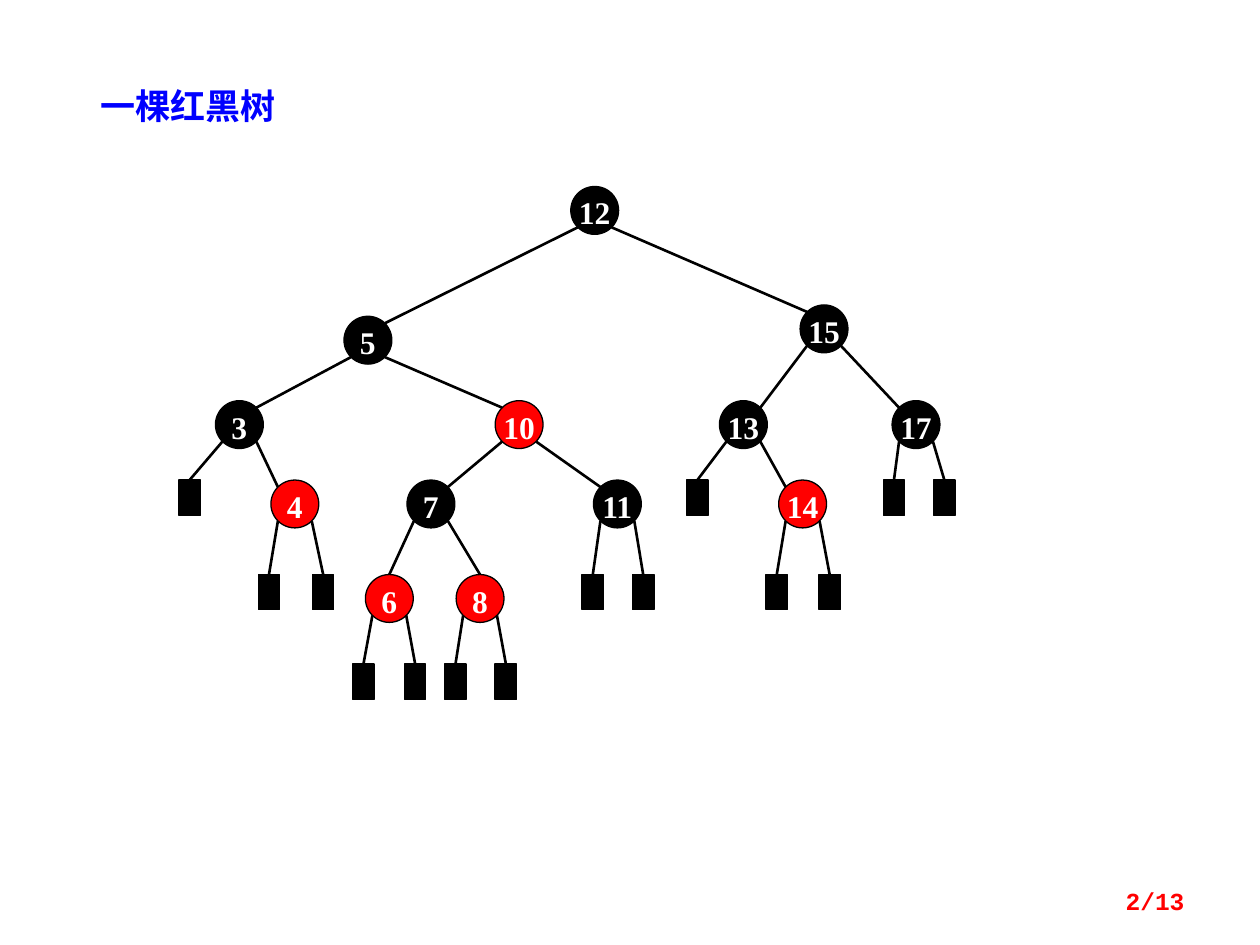
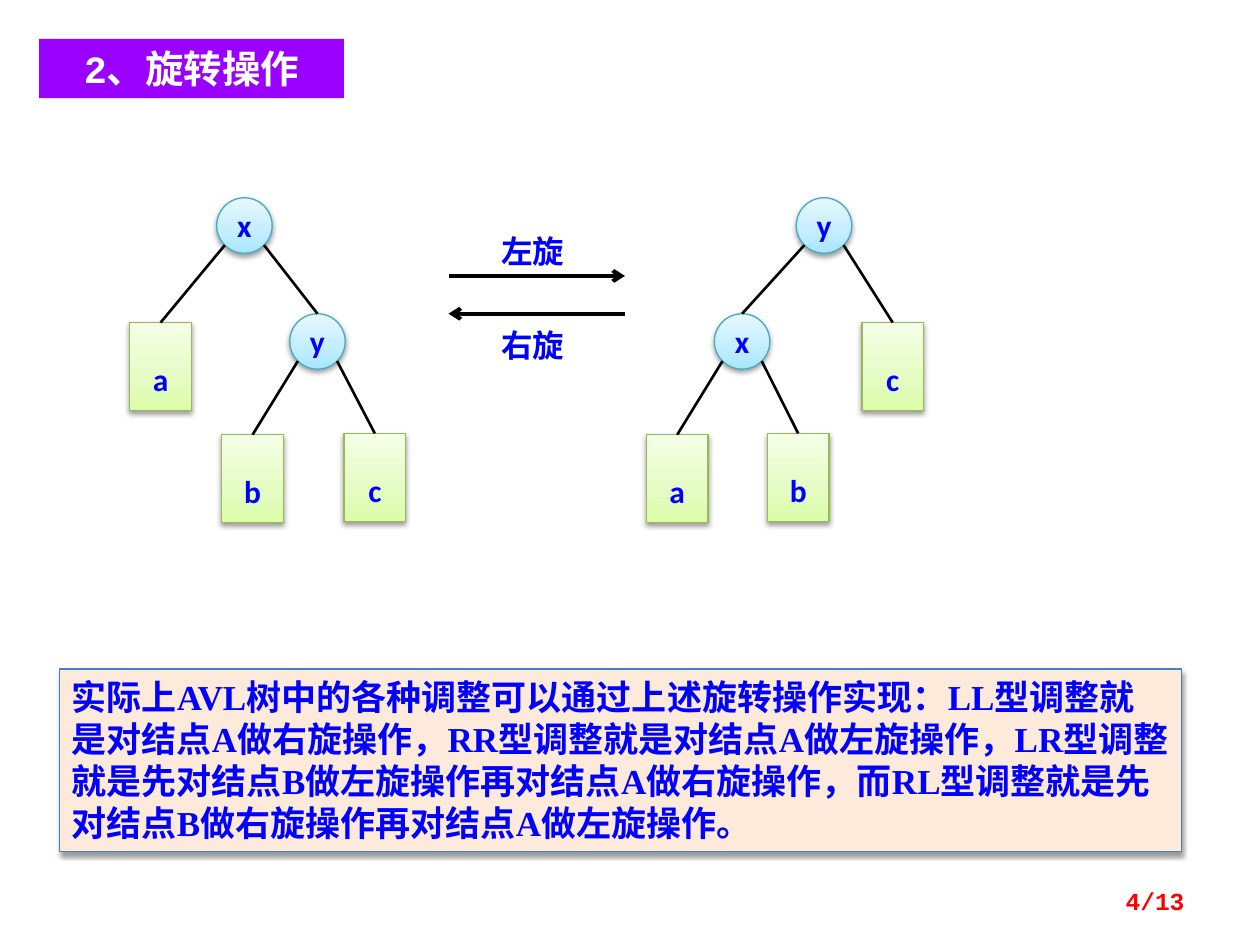
import copy
import math

import pptx
import pptx.dml.color
import pptx.enum.shapes
import pptx.enum.text
import pptx.oxml
import pptx.oxml.ns
import pptx.util
from pptx.util import Inches

COLOURS = {
    "black": "000000",
    "red": "FF0000",
    "white": "FFFFFF",
    "blue": "0000FF",
    "purple": "9900FF",
    "peach": "FDEADA",
    "steel": "4B7EBC",
    "cyan edge": "46AAC5",
    "green edge": "98B955",
}
GRADIENTS = {
    "cyan": ("A7E6FF", "C1EDFF", "E7F8FF"),
    "green": ("DAFDA7", "E4FCC2", "F5FFE7"),
}
GRADIENT_POSITIONS = (0, 0.35, 1)
CHINESE_FONT = "Noto Sans CJK SC"
TOTAL_PAGES = 13

SHAPES = pptx.enum.shapes.MSO_SHAPE
ALIGN = pptx.enum.text.PP_ALIGN
ANCHOR = pptx.enum.text.MSO_ANCHOR
GROW = pptx.enum.text.MSO_AUTO_SIZE.SHAPE_TO_FIT_TEXT
qn = pptx.oxml.ns.qn


def rgb(name):
    return pptx.dml.color.RGBColor.from_string(COLOURS.get(name, name))


def add_xml(parent, tag, **attributes):
    child = parent.makeelement(qn(tag), attributes)
    parent.append(child)
    return child


class SlideBuilder:
    """Holds the shared style and the slide being built."""

    def __init__(self, deck):
        self.deck = deck
        self.page = None

    def new_page(self, number):
        self.page = self.deck.slides.add_slide(self.deck.slide_layouts[6])
        self.text_box((7.17, 6.95, 2.33, 0.4), f"{number}/{TOTAL_PAGES}", 14, "Courier New",
                      "red", align=ALIGN.RIGHT, anchor=ANCHOR.MIDDLE)

    def add_text(self, box, text, size, font, colour, align=ALIGN.LEFT,
                 anchor=ANCHOR.TOP, inset=True, spacing=None, grow=False):
        frame = box.text_frame
        frame.word_wrap = True
        frame.vertical_anchor = anchor
        if grow:
            frame.auto_size = GROW
        if not inset:
            frame.margin_left = frame.margin_right = 0
            frame.margin_top = frame.margin_bottom = 0
        para = frame.paragraphs[0]
        para.alignment = align
        if spacing:
            para.line_spacing = spacing
        span = para.add_run()
        span.text = text
        span.font.size = pptx.util.Pt(size)
        span.font.name = font
        span.font.bold = True
        span.font.color.rgb = rgb(colour)
        add_xml(span.font._element, "a:ea", typeface=CHINESE_FONT)

    def text_box(self, place, text, size, font, colour, **layout):
        box = self.page.shapes.add_textbox(*map(Inches, place))
        self.add_text(box, text, size, font, colour, **layout)

    def shape(self, kind, place, fill, edge=None, shadow=False):
        box = self.page.shapes.add_shape(kind, *map(Inches, place))
        box.shadow.inherit = False
        if fill in GRADIENTS:
            self.gradient(box, GRADIENTS[fill])
        else:
            box.fill.solid()
            box.fill.fore_color.rgb = rgb(fill)
        if edge:
            box.line.color.rgb = rgb(edge)
            box.line.width = pptx.util.Pt(0.75)
        else:
            box.line.fill.background()
        if shadow:
            self.drop_shadow(box)
        return box

    def gradient(self, box, colours):
        box.fill.gradient()
        box.fill.gradient_angle = 90
        stop_list = box._element.spPr.find(qn("a:gradFill")).find(qn("a:gsLst"))
        stop_list.insert(1, copy.deepcopy(stop_list[0]))
        for stop, colour, position in zip(box.fill.gradient_stops, colours, GRADIENT_POSITIONS):
            stop.color.rgb = rgb(colour)
            stop.position = position

    def drop_shadow(self, box):
        effects = box._element.spPr.find(qn("a:effectLst"))
        outer = add_xml(effects, "a:outerShdw", blurRad=str(pptx.util.Pt(3.1)),
                        dist=str(pptx.util.Pt(1.6)), dir="5400000", rotWithShape="0")
        colour = add_xml(outer, "a:srgbClr", val=COLOURS["black"])
        add_xml(colour, "a:alpha", val="38000")

    def line(self, start, end, width=1.5, arrow=False):
        straight = pptx.enum.shapes.MSO_CONNECTOR.STRAIGHT
        line = self.page.shapes.add_connector(straight, *map(Inches, (*start, *end)))
        line.line.color.rgb = rgb("black")
        line.line.width = pptx.util.Pt(width)
        properties = line._element.spPr
        if arrow:
            add_xml(properties.find(qn("a:ln")), "a:tailEnd", type="arrow")
        add_xml(properties, "a:effectLst")

    def branch(self, parent, size, child, child_width, to_shoulder=False):
        """Join a circle's lower shoulder to a child's top or inner shoulder."""
        (left, top), (child_left, child_top) = parent, child
        reach = size / 2 * math.sqrt(0.5)
        centre = left + size / 2
        child_centre = child_left + child_width / 2
        side = 1 if child_centre > centre else -1
        start = (centre + side * reach, top + size / 2 + reach)
        end = (child_centre, child_top)
        if to_shoulder:
            end = (child_centre - side * reach, child_top + size / 2 - reach)
        self.line(start, end)


# Red-black tree: key -> left, top, colour
NODE_SIZE = 0.38
NODES = {
    12: (4.53, 1.48, "black"), 5: (2.73, 2.51, "black"), 15: (6.35, 2.42, "black"),
    3: (1.71, 3.18, "black"), 10: (3.93, 3.18, "red"), 13: (5.71, 3.18, "black"),
    17: (7.08, 3.18, "black"), 4: (2.15, 3.81, "red"), 7: (3.23, 3.81, "black"),
    11: (4.71, 3.81, "black"), 14: (6.18, 3.81, "red"), 6: (2.9, 4.56, "red"),
    8: (3.62, 4.56, "red"),
}
CHILDREN = {12: (5, 15), 5: (3, 10), 15: (13, 17), 3: (4,), 10: (7, 11), 13: (14,), 7: (6, 8)}
TOP_JOINED = (6, 8)
NIL_WIDTH, NIL_HEIGHT = 0.17, 0.28
NIL_LEFTS = {3: (1.42,), 4: (2.05, 2.48), 6: (2.8, 3.21), 8: (3.53, 3.93), 11: (4.62, 5.02),
             13: (5.45,), 14: (6.08, 6.5), 17: (7.01, 7.41)}
NIL_TOPS = {3.18: 3.81, 3.81: 4.56, 4.56: 5.27}  # parent row -> leaf row


def build_red_black_tree(builder):
    builder.new_page(2)
    builder.text_box((0.7, 0.62, 3.2, 0.44), "一棵红黑树", 20, CHINESE_FONT, "blue", grow=True)

    for key, (left, top, colour) in NODES.items():
        node = builder.shape(SHAPES.OVAL, (left, top, NODE_SIZE, NODE_SIZE), colour, "black")
        builder.add_text(node, str(key), 18, "Times New Roman", "white",
                         align=ALIGN.CENTER, inset=False)
    for parent, children in CHILDREN.items():
        for child in children:
            builder.branch(NODES[parent][:2], NODE_SIZE, NODES[child][:2], NODE_SIZE,
                           to_shoulder=child not in TOP_JOINED)

    # Empty leaves
    for parent, lefts in NIL_LEFTS.items():
        position = NODES[parent][:2]
        top = NIL_TOPS[position[1]]
        for left in lefts:
            builder.shape(SHAPES.RECTANGLE, (left, top, NIL_WIDTH, NIL_HEIGHT), "black", "black")
            builder.branch(position, NODE_SIZE, (left, top), NIL_WIDTH)


# Rotation trees: name -> left, top
CIRCLE_SIZE = 0.44
SUBTREE_WIDTH, SUBTREE_HEIGHT = 0.49, 0.7
ROTATION_TREES = (
    ({"x": (1.72, 1.57), "y": (2.3, 2.49)},
     {"a": (1.03, 2.56), "b": (1.76, 3.45), "c": (2.73, 3.44)},
     ("xa", "xy", "yb", "yc")),
    ({"y": (6.32, 1.57), "x": (5.67, 2.49)},
     {"c": (6.84, 2.56), "a": (5.13, 3.45), "b": (6.09, 3.44)},
     ("yx", "yc", "xa", "xb")),
)
ARROW_LEFT, ARROW_RIGHT = 3.56, 4.96
EXPLANATION = (
    "实际上AVL树中的各种调整可以通过上述旋转操作实现："
    "LL型调整就是对结点A做右旋操作，RR型调整就是对结点A做左旋操作，"
    "LR型调整就是先对结点B做左旋操作再对结点A做右旋操作，"
    "而RL型调整就是先对结点B做右旋操作再对结点A做左旋操作。"
)


def build_rotations(builder):
    builder.new_page(4)
    banner = builder.shape(SHAPES.RECTANGLE, (0.31, 0.31, 2.42, 0.47), "purple")
    builder.add_text(banner, "2、旋转操作", 22, "Courier New", "white",
                     align=ALIGN.CENTER, grow=True)

    # Trees before and after the rotation
    for circles, subtrees, branches in ROTATION_TREES:
        for name, position in circles.items():
            circle = builder.shape(SHAPES.OVAL, (*position, CIRCLE_SIZE, CIRCLE_SIZE),
                                   "cyan", "cyan edge", shadow=True)
            builder.add_text(circle, name, 18, "Calibri", "blue",
                             align=ALIGN.CENTER, inset=False)
        for name, position in subtrees.items():
            subtree = builder.shape(SHAPES.RECTANGLE, (*position, SUBTREE_WIDTH, SUBTREE_HEIGHT),
                                    "green", "green edge", shadow=True)
            builder.add_text(subtree, name, 18, "Calibri", "blue",
                             align=ALIGN.CENTER, inset=False, spacing=2.0)
        for parent, child in branches:
            width = CIRCLE_SIZE if child in circles else SUBTREE_WIDTH
            builder.branch(circles[parent], CIRCLE_SIZE, (circles | subtrees)[child], width)

    # Rotation arrows
    for label, label_top, start, end, height in (
            ("左旋", 1.84, ARROW_LEFT, ARROW_RIGHT, 2.19),
            ("右旋", 2.59, ARROW_RIGHT, ARROW_LEFT, 2.49)):
        builder.text_box((3.98, label_top, 0.64, 0.31), label, 18, "Times New Roman",
                         "blue", inset=False)
        builder.line((start, height), (end, height), width=2.25, arrow=True)

    # Explanation
    panel = builder.shape(SHAPES.RECTANGLE, (0.47, 5.31, 8.91, 1.45), "peach", "steel",
                          shadow=True)
    builder.add_text(panel, EXPLANATION, 20, "Times New Roman", "blue", grow=True)


def main():
    deck = pptx.Presentation()
    deck.slide_width, deck.slide_height = Inches(10), Inches(7.5)
    builder = SlideBuilder(deck)
    build_red_black_tree(builder)
    build_rotations(builder)
    deck.save("out.pptx")


if __name__ == "__main__":
    main()
